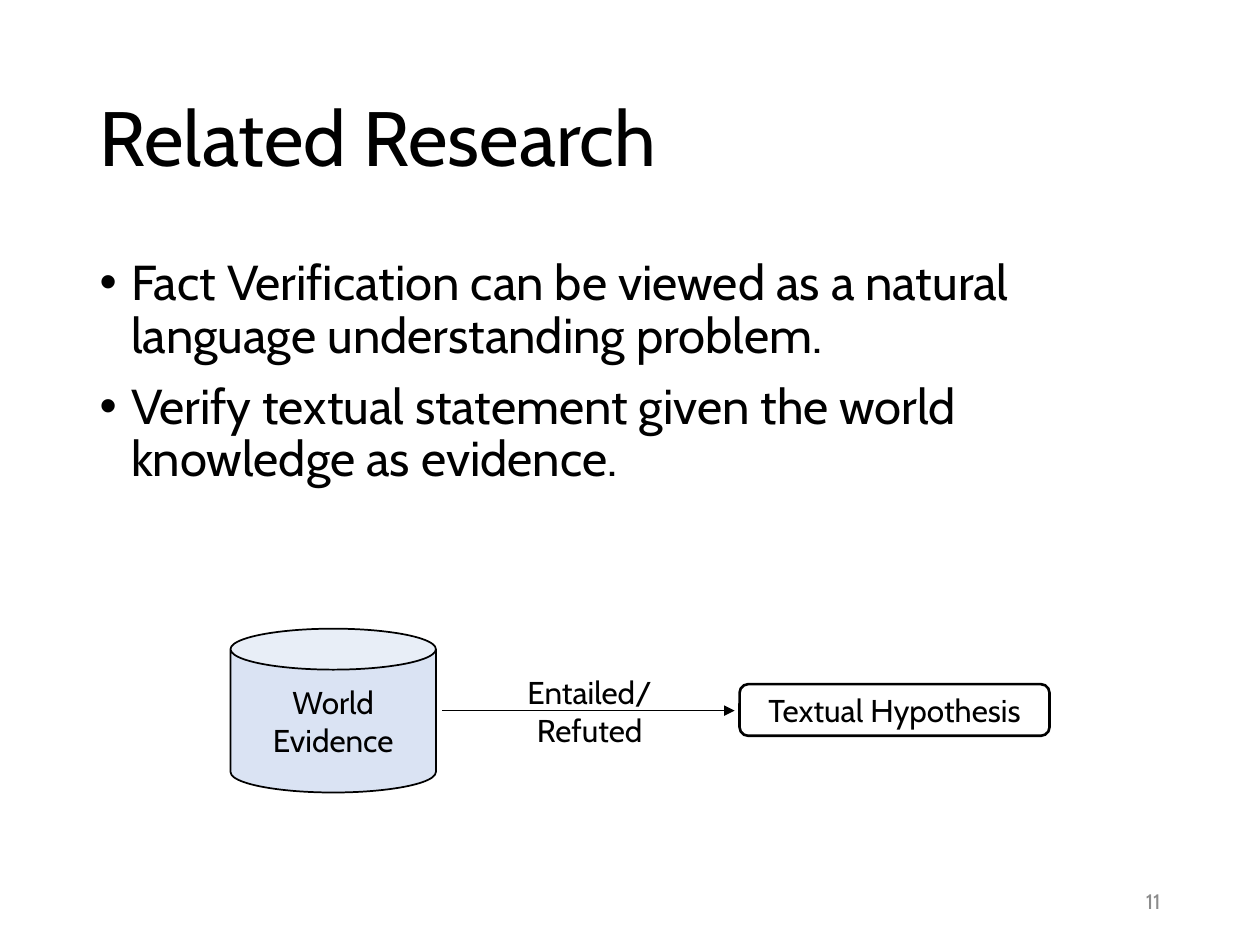
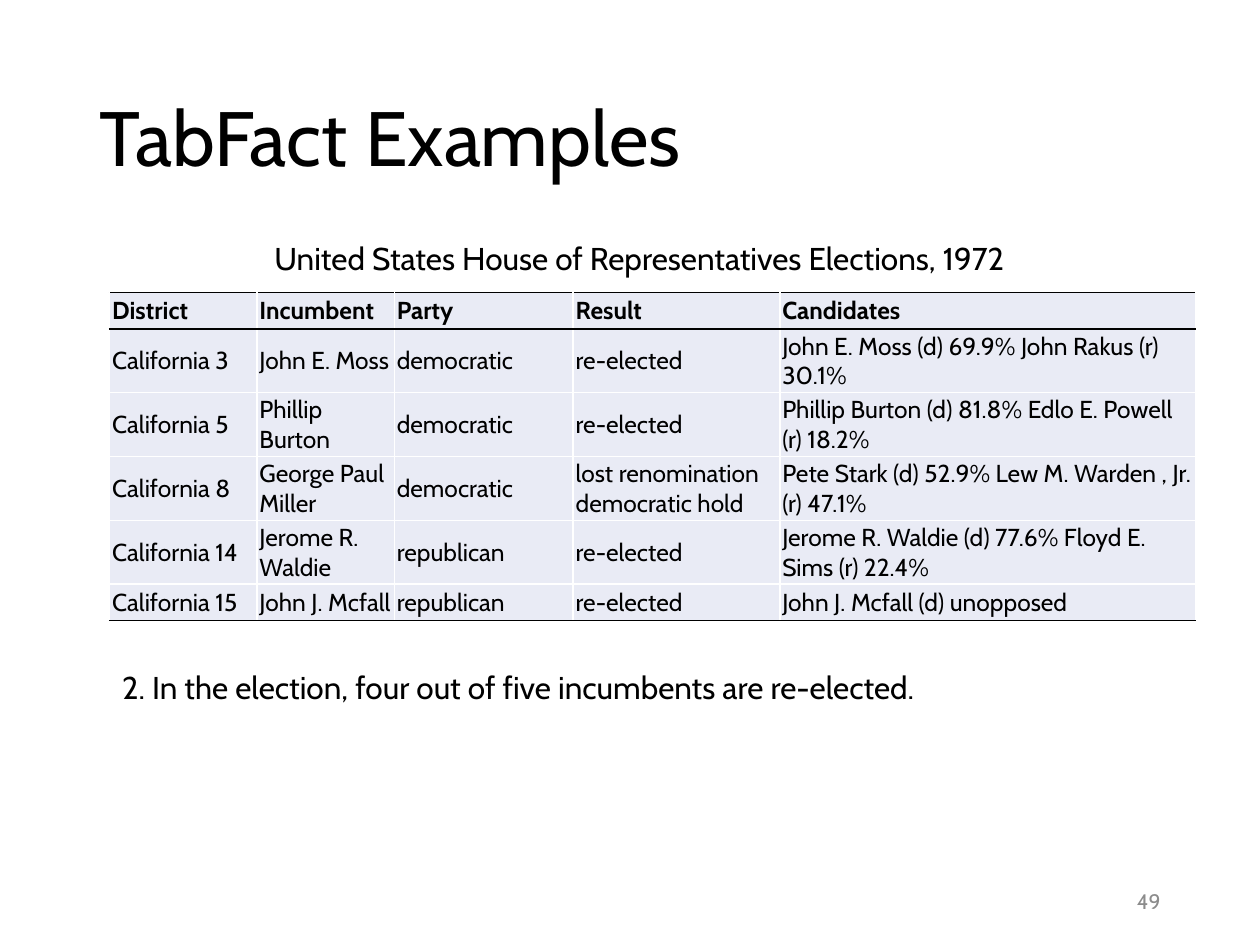
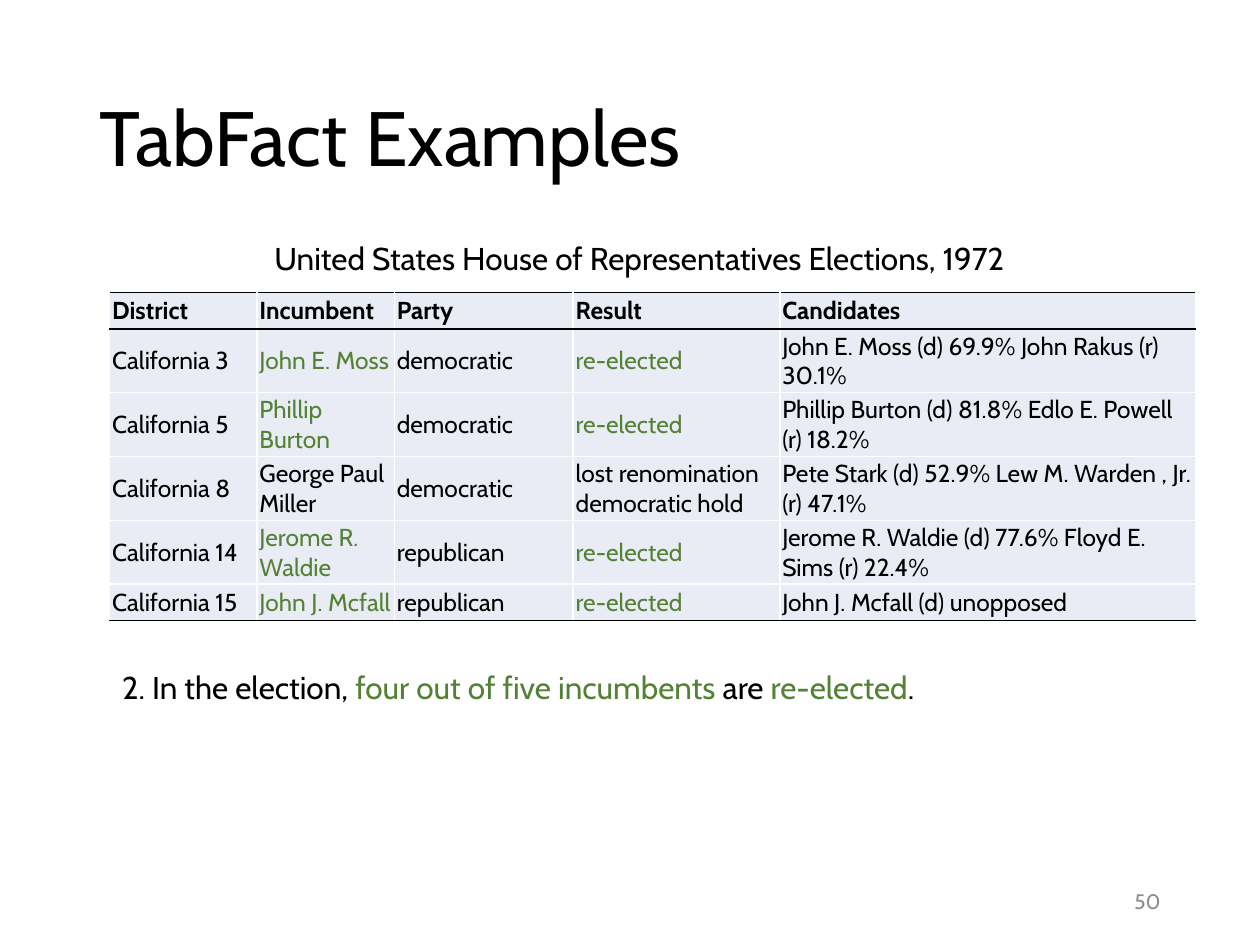
"""Build three slides on fact verification: related research and two TabFact examples."""
import dataclasses

import pptx
import pptx.dml.color
import pptx.enum.shapes
import pptx.enum.text
import pptx.oxml.ns
import pptx.util
from lxml import etree

Inches = pptx.util.Inches
Pt = pptx.util.Pt
RGB = pptx.dml.color.RGBColor
ALIGN = pptx.enum.text.PP_ALIGN
ANCHOR = pptx.enum.text.MSO_ANCHOR
FIT = pptx.enum.text.MSO_AUTO_SIZE
SHAPE = pptx.enum.shapes.MSO_SHAPE
qn = pptx.oxml.ns.qn


@dataclasses.dataclass(frozen=True)
class Theme:
    font: str = "Cabin"
    ink: str = "000000"
    paper: str = "FFFFFF"
    muted: str = "8C8C8C"
    support: str = "548235"
    evidence: str = "DAE3F3"
    cell: str = "E9EBF5"
    title: int = 44
    body: int = 28
    label: int = 18
    table: int = 14
    number: int = 12


theme = Theme()


def write(frame, lines, size, color=theme.ink, align=ALIGN.LEFT, bold=False, spacing=None):
    """Fill a text frame; a line is a string or a list of (text, colour) pieces."""
    frame.word_wrap = True
    for index, line in enumerate(lines):
        paragraph = frame.paragraphs[0] if index == 0 else frame.add_paragraph()
        paragraph.alignment = align
        paragraph.line_spacing = spacing
        paragraph.font.name = theme.font
        paragraph.font.size = Pt(size)
        paragraph.font.bold = bold
        paragraph.font.color.rgb = RGB.from_string(color)
        for text, piece_color in [(line, color)] if isinstance(line, str) else line:
            run = paragraph.add_run()
            run.text = text
            if piece_color != color:
                run.font.color.rgb = RGB.from_string(piece_color)


def add_label(slide, box, lines, size=theme.label, **style):
    """Add a text box at box (left, top, width, height in inches)."""
    label = slide.shapes.add_textbox(*map(Inches, box))
    write(label.text_frame, lines, size, **style)
    return label


deck = pptx.Presentation()
deck.slide_width, deck.slide_height = Inches(10), Inches(7.5)
content_layout, title_layout = deck.slide_layouts[1], deck.slide_layouts[5]

for heading, page, layout in [
    ("Related Research", "11", content_layout),
    ("TabFact Examples", "49", title_layout),
    ("TabFact Examples", "50", title_layout),
]:
    slide = deck.slides.add_slide(layout)
    title = slide.shapes.title
    title.left, title.top, title.width, title.height = map(Inches, (0.69, 0.4, 8.62, 1.45))
    title.text_frame.auto_size = FIT.NONE
    title.text_frame.vertical_anchor = ANCHOR.MIDDLE
    write(title.text_frame, [heading], theme.title, spacing=0.9)
    number = add_label(slide, (7.06, 6.95, 2.25, 0.4), [page], theme.number,
                       color=theme.muted, align=ALIGN.RIGHT)
    number.text_frame.vertical_anchor = ANCHOR.MIDDLE

research, *examples = deck.slides

points = research.placeholders[1]
points.left, points.top, points.width, points.height = map(Inches, (0.69, 2, 8.62, 4.76))
points.text_frame.auto_size = FIT.NONE
write(points.text_frame, [
    "Fact Verification can be viewed as a natural language understanding problem.",
    "Verify textual statement given the world knowledge as evidence.",
], theme.body, spacing=0.9)
for index, point in enumerate(points.text_frame.paragraphs):
    point.space_before = Pt(10 if index else 0)
    properties = point._p.get_or_add_pPr()
    properties.set("marL", str(Inches(0.25)))
    properties.set("indent", str(Inches(-0.25)))

for preset, box, fill, weight, lines in [
    (SHAPE.CAN, (1.83, 4.99, 1.63, 1.3), theme.evidence, 1, ["World", "Evidence"]),
    (SHAPE.ROUNDED_RECTANGLE, (5.87, 5.43, 2.46, 0.41), None, 1.5, ["Textual Hypothesis"]),
]:
    node = research.shapes.add_shape(preset, *map(Inches, box))
    node.shadow.inherit = False
    if fill:
        node.fill.solid()
        node.fill.fore_color.rgb = RGB.from_string(fill)
    else:
        node.fill.background()
    node.line.color.rgb = RGB.from_string(theme.ink)
    node.line.width = Pt(weight)
    node.text_frame.vertical_anchor = ANCHOR.MIDDLE
    write(node.text_frame, lines, theme.label, align=ALIGN.CENTER)

add_label(research, (3.59, 5.29, 2.18, 0.71), ["Entailed/", "Refuted"], align=ALIGN.CENTER)
verdict = research.shapes.add_connector(
    pptx.enum.shapes.MSO_CONNECTOR.STRAIGHT, *map(Inches, (3.51, 5.64, 5.83, 5.64)))
verdict.line.color.rgb = RGB.from_string(theme.ink)
verdict.line.width = Pt(0.5)
etree.SubElement(verdict.line._get_or_add_ln(), qn("a:tailEnd"), type="triangle")
etree.SubElement(verdict._element.spPr, qn("a:effectLst"))

elections = [
    ("District", "Incumbent", "Party", "Result", "Candidates"),
    ("California 3", "John E. Moss", "democratic", "re-elected",
     "John E. Moss (d) 69.9% John Rakus (r) 30.1%"),
    ("California 5", "Phillip Burton", "democratic", "re-elected",
     "Phillip Burton (d) 81.8% Edlo E. Powell (r) 18.2%"),
    ("California 8", "George Paul Miller", "democratic", "lost renomination democratic hold",
     "Pete Stark (d) 52.9% Lew M. Warden , Jr. (r) 47.1%"),
    ("California 14", "Jerome R. Waldie", "republican", "re-elected",
     "Jerome R. Waldie (d) 77.6% Floyd E. Sims (r) 22.4%"),
    ("California 15", "John J. Mcfall", "republican", "re-elected",
     "John J. Mcfall (d) unopposed"),
]
column_widths = [1.17, 1.09, 1.42, 1.64, 3.3]
last_row, last_column = len(elections) - 1, len(column_widths) - 1

for slide, highlight in zip(examples, [theme.ink, theme.support]):
    table = slide.shapes.add_table(
        len(elections), len(column_widths),
        *map(Inches, (0.87, 2.32, 8.62, 0.29 * len(elections)))).table
    table.horz_banding = False
    for column, width in zip(table.columns, column_widths):
        column.width = Inches(width)
    for r, record in enumerate(elections):
        table.rows[r].height = Inches(0.29)
        for c, value in enumerate(record):
            cell = table.cell(r, c)
            cell.margin_left = cell.margin_right = Inches(0.02)
            cell.margin_top = cell.margin_bottom = Inches(0.02)
            cell.vertical_anchor = ANCHOR.MIDDLE
            supports = record[3] == "re-elected" and c in (1, 3)
            write(cell.text_frame, [value], theme.table, bold=r == 0,
                  color=highlight if supports else theme.ink)
            borders = {
                "a:lnL": theme.paper if c > 0 else None,
                "a:lnR": theme.paper if c < last_column else None,
                "a:lnT": theme.ink if r <= 1 else theme.paper,
                "a:lnB": theme.ink if r in (0, last_row) else theme.paper,
            }
            for side, color in borders.items():
                if color:
                    border = etree.SubElement(cell._tc.get_or_add_tcPr(), qn(side), w=str(Pt(1)))
                    solid = etree.SubElement(border, qn("a:solidFill"))
                    etree.SubElement(solid, qn("a:srgbClr"), val=color)
            cell.fill.solid()
            cell.fill.fore_color.rgb = RGB.from_string(theme.cell)
    add_label(slide, (2.08, 1.85, 6.57, 0.4),
              ["United States House of Representatives Elections, 1972"])
    add_label(slide, (0.87, 5.25, 8.62, 0.4), [[
        ("2. In the election, ", theme.ink),
        ("four out of five incumbents ", highlight),
        ("are ", theme.ink),
        ("re-elected", highlight),
        (".", theme.ink),
    ]])

deck.save("out.pptx")
